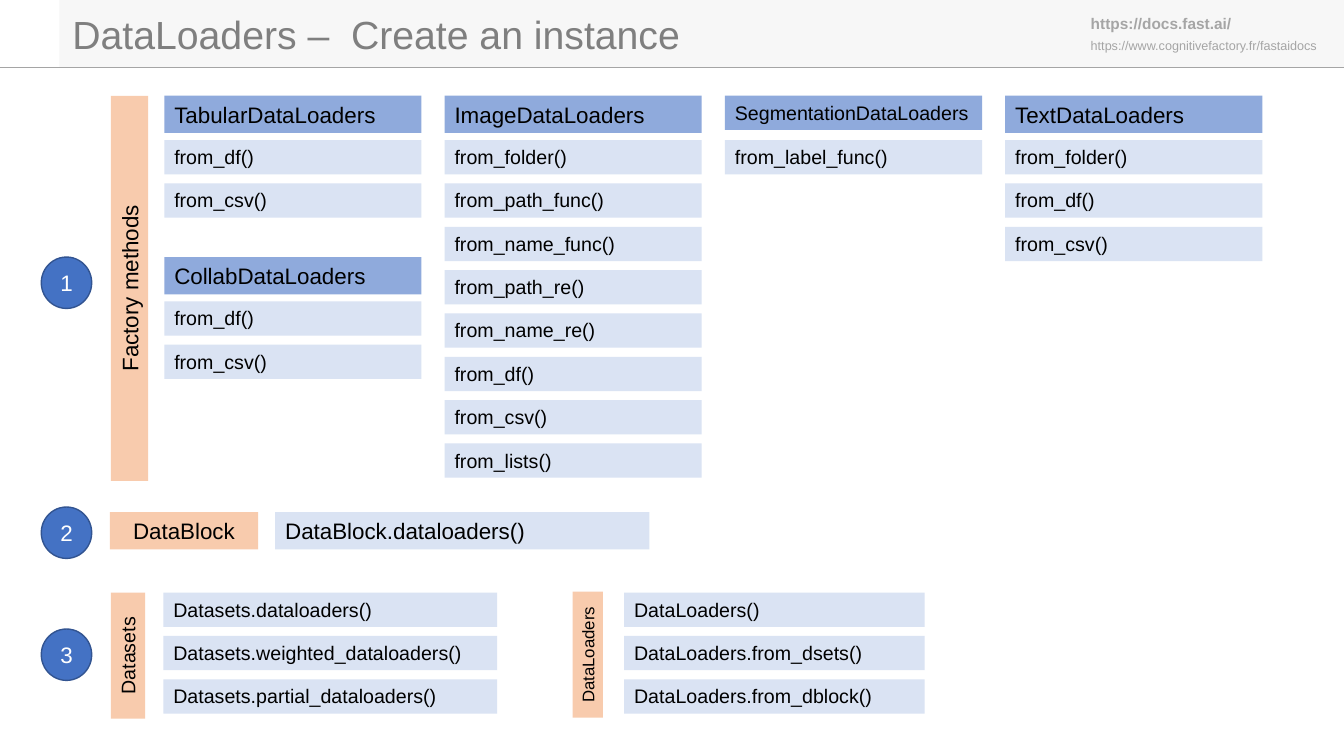
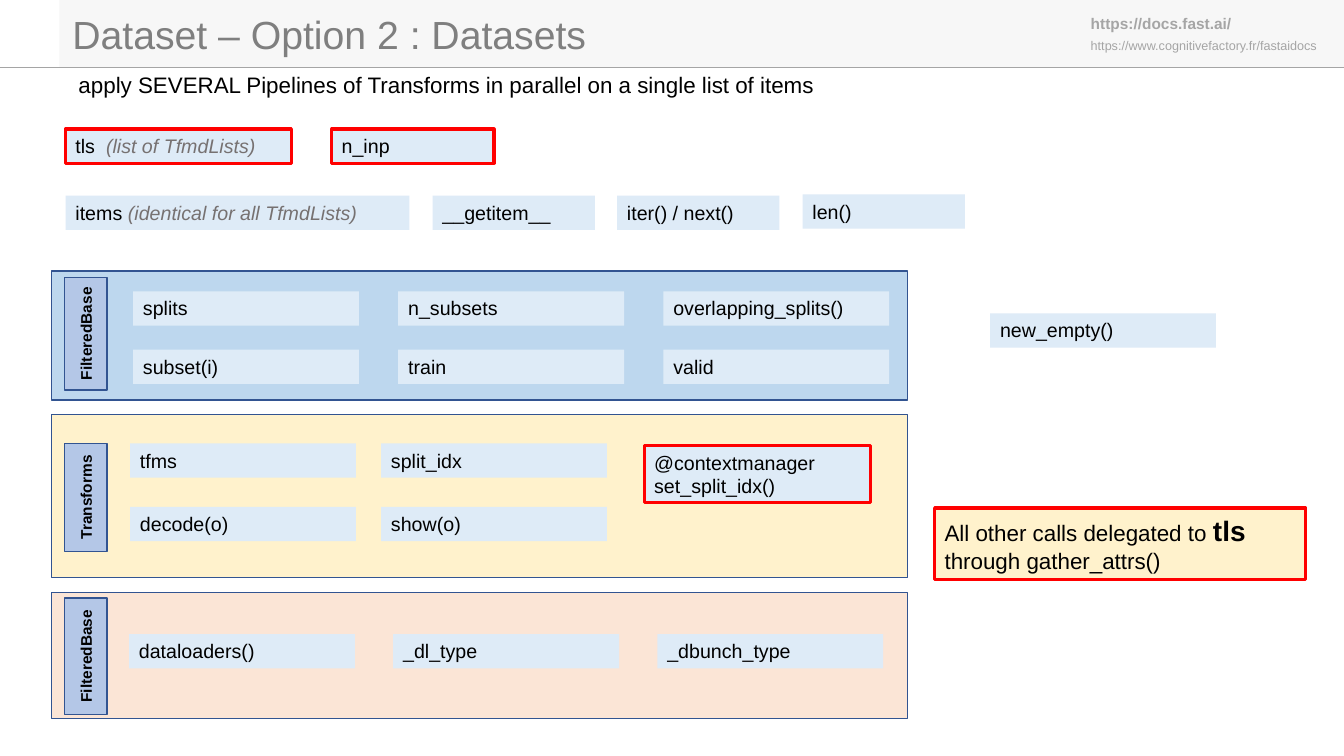
import lxml.etree
import pptx
import pptx.dml.color
import pptx.enum.shapes
import pptx.enum.text
import pptx.oxml.ns
import pptx.util

RGBColor = pptx.dml.color.RGBColor
SHAPE = pptx.enum.shapes.MSO_SHAPE
ANCHOR = pptx.enum.text.MSO_ANCHOR
ALIGN = pptx.enum.text.PP_ALIGN

PX = 9144  # 100 px to the inch
FONT = "Arial"
BLACK = RGBColor(0x00, 0x00, 0x00)
WHITE = RGBColor(0xFF, 0xFF, 0xFF)
BAND_GREY = RGBColor(0xF7, 0xF7, 0xF7)
LINK_GREY = RGBColor(0xA5, 0xA5, 0xA5)
TITLE_GREY = RGBColor(0x7F, 0x7F, 0x7F)
NOTE_GREY = RGBColor(0x76, 0x71, 0x71)
NAVY = RGBColor(0x32, 0x54, 0x91)
BADGE_BLUE = RGBColor(0x44, 0x72, 0xC4)
CLASS_BLUE = RGBColor(0x8F, 0xAA, 0xDC)
METHOD_BLUE = RGBColor(0xDA, 0xE3, 0xF3)
MEMBER_BLUE = RGBColor(0xDE, 0xEB, 0xF7)
LABEL_BLUE = RGBColor(0xB4, 0xC7, 0xE7)
PANEL_BLUE = RGBColor(0xBD, 0xD7, 0xEE)
PANEL_YELLOW = RGBColor(0xFF, 0xF2, 0xCC)
PANEL_PEACH = RGBColor(0xFB, 0xE5, 0xD6)
ORANGE = RGBColor(0xF8, 0xCB, 0xAD)
RED = RGBColor(0xFF, 0x00, 0x00)

ROW_HEIGHT = 34


def add_box(slide, left, top, width, height, text="", *, fill=None, line=None,
            line_width=1, kind=SHAPE.RECTANGLE, size=14, color=BLACK, bold=False,
            align=ALIGN.LEFT, anchor=ANCHOR.TOP, upward=False):
    """Add a shape, or a text box if there is no fill.

    The position is that of the box as seen, also when its text runs upward.
    Text is a string or a list of (string, format changes); a newline starts a paragraph.
    """
    frame = [left * PX, top * PX, width * PX, height * PX]
    if upward:
        shift = (width - height) * PX // 2
        frame = [frame[0] + shift, frame[1] - shift, frame[3], frame[2]]
    if fill is None:
        shape = slide.shapes.add_textbox(*frame)
    else:
        shape = slide.shapes.add_shape(kind, *frame)
        shape.shadow.inherit = False
        shape.fill.solid()
        shape.fill.fore_color.rgb = fill
        if line is None:
            shape.line.fill.background()
        else:
            shape.line.color.rgb = line
            shape.line.width = pptx.util.Pt(line_width)
    if upward:
        shape.rotation = 270
    if not text:
        return

    text_frame = shape.text_frame
    text_frame.word_wrap = True
    text_frame.vertical_anchor = anchor
    paragraph = text_frame.paragraphs[0]
    for words, changes in [(text, {})] if isinstance(text, str) else text:
        look = {"size": size, "color": color, "bold": bold, "italic": False} | changes
        for index, part in enumerate(words.split("\n")):
            if index:
                paragraph = text_frame.add_paragraph()
            if part:
                run = paragraph.add_run()
                run.text = part
                run.font.name = FONT
                run.font.size = pptx.util.Pt(look["size"])
                run.font.color.rgb = look["color"]
                run.font.bold = look["bold"]
                run.font.italic = look["italic"]
    for paragraph in text_frame.paragraphs:
        paragraph.alignment = align


presentation = pptx.Presentation()
presentation.slide_width = 1333 * PX
presentation.slide_height = 750 * PX
slides = []

# Header shared by the slides
for title in ["DataLoaders –  Create an instance", "Dataset – Option 2 : Datasets"]:
    slide = presentation.slides.add_slide(presentation.slide_layouts[6])
    add_box(slide, 59, 0, 1274, 67, fill=BAND_GREY)
    rule = slide.shapes.add_connector(
        pptx.enum.shapes.MSO_CONNECTOR.STRAIGHT, 0, 67 * PX, 1333 * PX, 67 * PX)
    rule.line.color.rgb = LINK_GREY
    rule.line.width = pptx.util.Pt(0.5)
    lxml.etree.SubElement(rule.element.spPr, pptx.oxml.ns.qn("a:effectLst"))
    add_box(slide, 1072, 9, 267, 29, "https://docs.fast.ai/",
            size=11, color=LINK_GREY, bold=True)
    add_box(slide, 1072, 33, 270, 25, "https://www.cognitivefactory.fr/fastaidocs",
            size=9, color=LINK_GREY)
    add_box(slide, 62, 5, 900, 57, title, size=28, color=TITLE_GREY)
    slides.append(slide)

loaders_slide, datasets_slide = slides

# Slide 1: three ways to create DataLoaders
for number, top in enumerate([255, 503, 624], start=1):
    add_box(loaders_slide, 41, top, 50, 51, str(number), kind=SHAPE.OVAL,
            fill=BADGE_BLUE, line=NAVY, size=16, color=WHITE,
            align=ALIGN.CENTER, anchor=ANCHOR.MIDDLE)

for left, top, width, height, label, size, upward in [
    (110, 95, 37, 382, "Factory methods", 16, True),
    (109, 508, 147, 37, "DataBlock", 16, False),
    (110, 588, 34, 125, "Datasets", 14, True),
    (568, 587, 30, 125, "DataLoaders", 12, True),
]:
    add_box(loaders_slide, left, top, width, height, label, fill=ORANGE, size=size,
            align=ALIGN.CENTER, upward=upward)

for column, top, name, height, size, methods in [
    (0, 95, "TabularDataLoaders", 37, 16, ["from_df()", "from_csv()"]),
    (0, 255, "CollabDataLoaders", 37, 16, ["from_df()", "from_csv()"]),
    (1, 95, "ImageDataLoaders", 37, 16,
     ["from_folder()", "from_path_func()", "from_name_func()", "from_path_re()",
      "from_name_re()", "from_df()", "from_csv()", "from_lists()"]),
    (2, 95, "SegmentationDataLoaders", 34, 14, ["from_label_func()"]),
    (3, 95, "TextDataLoaders", 37, 16, ["from_folder()", "from_df()", "from_csv()"]),
]:
    left = 163 + 278 * column
    add_box(loaders_slide, left, top, 255, height, name, fill=CLASS_BLUE, size=size)
    for row, method in enumerate(methods):
        add_box(loaders_slide, left, top + 44 + 43 * row, 255, ROW_HEIGHT, method,
                fill=METHOD_BLUE)

add_box(loaders_slide, 273, 508, 371, 37, "DataBlock.dataloaders()",
        fill=METHOD_BLUE, size=16)

for left, width, calls in [
    (162, 331, ["Datasets.dataloaders()", "Datasets.weighted_dataloaders()",
                "Datasets.partial_dataloaders()"]),
    (619, 298, ["DataLoaders()", "DataLoaders.from_dsets()", "DataLoaders.from_dblock()"]),
]:
    for row, call in enumerate(calls):
        add_box(loaders_slide, left, 588 + 43 * row, width, ROW_HEIGHT, call,
                fill=METHOD_BLUE)

# Slide 2: members of Datasets
add_box(datasets_slide, 68, 66, 755, 37,
        "apply SEVERAL Pipelines of Transforms in parallel on a single list of items", size=16)

note = {"color": NOTE_GREY, "italic": True}
for left, top, width, height, member, line in [
    (65, 128, 224, ROW_HEIGHT, [("tls  ", {}), ("(list of TfmdLists)", note)], RED),
    (329, 128, 161, ROW_HEIGHT, "n_inp", RED),
    (65, 194, 341, ROW_HEIGHT, [("items ", {}), ("(identical for all TfmdLists)", note)], None),
    (429, 194, 161, ROW_HEIGHT, "__getitem__", None),
    (612, 194, 161, ROW_HEIGHT, "iter() / next()", None),
    (796, 193, 161, ROW_HEIGHT, "len()", None),
    (982, 311, 224, ROW_HEIGHT, "new_empty()", None),
]:
    add_box(datasets_slide, left, top, width, height, member,
            fill=MEMBER_BLUE, line=line, line_width=2.25)

for top, height, fill, label, label_top, label_height, left, first_row, steps, rows in [
    (269, 128, PANEL_BLUE, "FilteredBase", 275, 112, 132, 289, (263, 58),
     [["splits", "n_subsets", "overlapping_splits()"], ["subset(i)", "train", "valid"]]),
    (411, 162, PANEL_YELLOW, "Transforms", 440, 107, 129, 440, (249, 63),
     [["tfms", "split_idx"], ["decode(o)", "show(o)"]]),
    (588, 125, PANEL_PEACH, "FilteredBase", 593, 116, 128, 629, (262, 0),
     [["dataloaders()", "_dl_type", "_dbunch_type"]]),
]:
    add_box(datasets_slide, 51, top, 849, height, fill=fill, line=NAVY)
    add_box(datasets_slide, 64, label_top, 42, label_height, label, fill=LABEL_BLUE,
            line=NAVY, size=11, bold=True, align=ALIGN.CENTER, anchor=ANCHOR.MIDDLE,
            upward=True)
    for row, members in enumerate(rows):
        for column, member in enumerate(members):
            add_box(datasets_slide, left + steps[0] * column, first_row + steps[1] * row,
                    224, ROW_HEIGHT, member, fill=MEMBER_BLUE)

add_box(datasets_slide, 639, 442, 224, 57, "@contextmanager\nset_split_idx()",
        fill=MEMBER_BLUE, line=RED, line_width=2.25)
add_box(datasets_slide, 927, 504, 368, 71,
        [("All other calls delegated to ", {}), ("tls", {"size": 20, "bold": True}),
         ("\nthrough gather_attrs()", {})],
        fill=PANEL_YELLOW, line=RED, line_width=2.25, size=16)

presentation.save("out.pptx")
